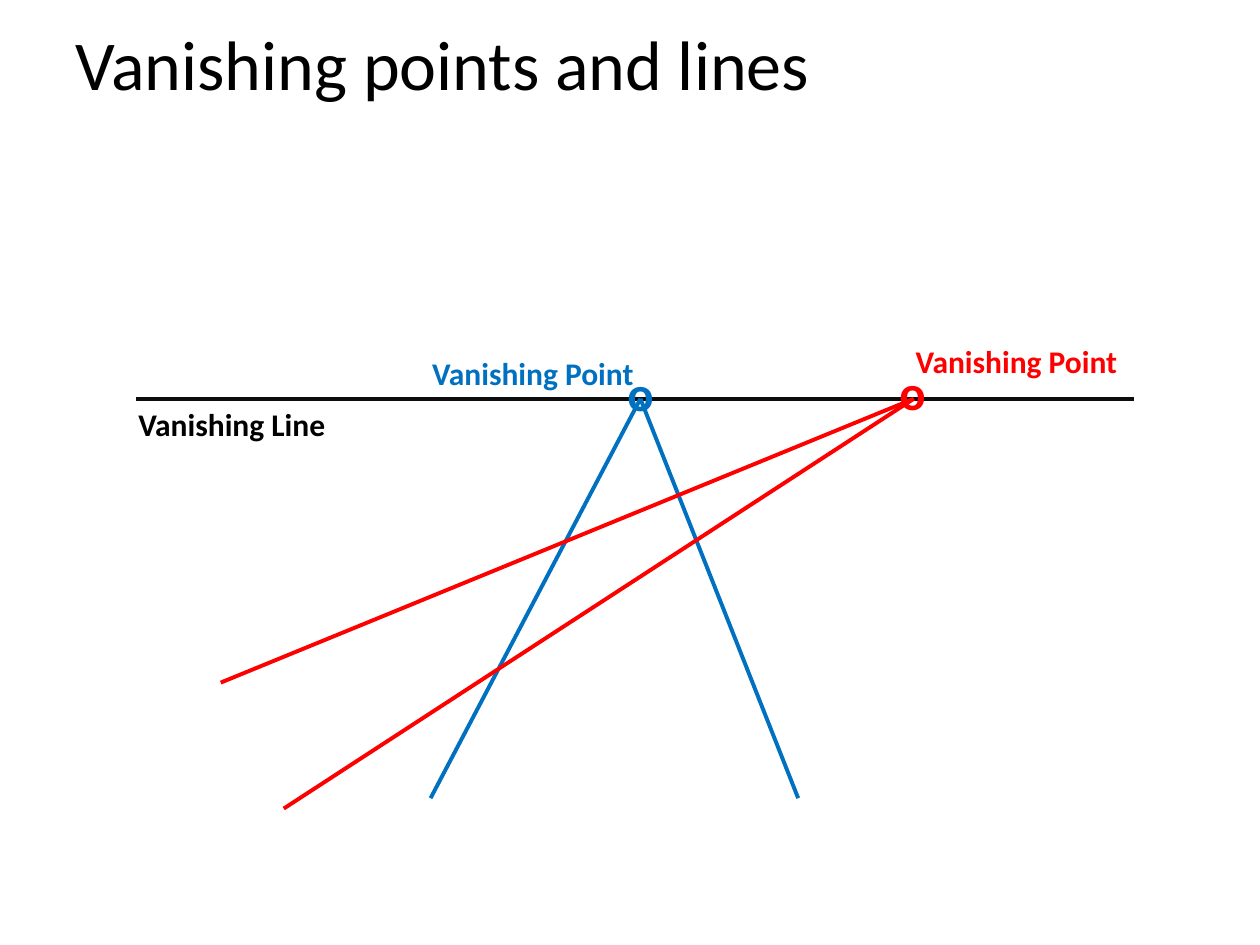
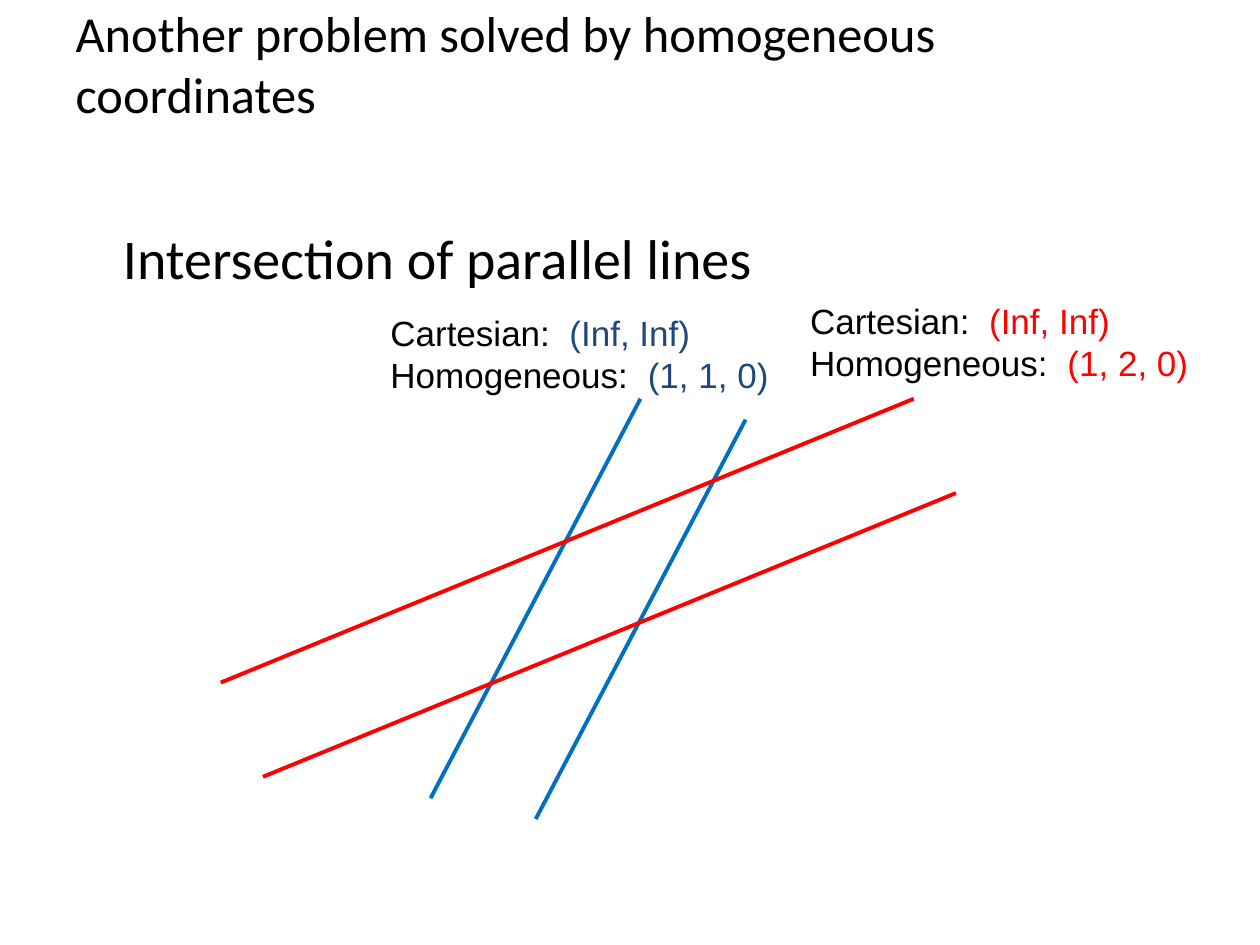
from pptx import Presentation
from pptx.dml.color import RGBColor
from pptx.enum.shapes import MSO_CONNECTOR
from pptx.enum.text import MSO_ANCHOR, MSO_AUTO_SIZE, PP_ALIGN
from pptx.oxml.ns import qn
from pptx.util import Cm, Pt
from lxml.etree import SubElement

BLACK = RGBColor(0x00, 0x00, 0x00)
HORIZON = RGBColor(0x0D, 0x0D, 0x0D)
BLUE = RGBColor(0x00, 0x70, 0xC0)
NAVY = RGBColor(0x1F, 0x49, 0x7D)
RED = RGBColor(0xFF, 0x00, 0x00)

# Points in centimetres that both drawings share
BLUE_POINT, BLUE_START = (12.91, 8.04), (8.68, 16.09)
RED_POINT, RED_START = (18.42, 8.04), (4.45, 13.76)


class Deck:
    """Holds the style and the slide being built."""

    heading_font = "Calibri"
    body_font = "Arial"
    line_width = Pt(2.25)

    def __init__(self):
        self.presentation = Presentation()
        self.presentation.slide_width = Cm(25.4)
        self.presentation.slide_height = Cm(19.05)
        self.slide = None

    def add_run(self, paragraph, text, size, color, font=heading_font, bold=False):
        run = paragraph.add_run()
        run.text = text
        run.font.name = font
        run.font.size = Pt(size)
        run.font.bold = bold
        run.font.color.rgb = color

    def add_slide(self, title, size):
        layout = self.presentation.slide_layouts[5]
        self.slide = self.presentation.slides.add_slide(layout)
        shape = self.slide.shapes.title
        shape.left, shape.top = Cm(1.27), Cm(0)
        shape.width, shape.height = Cm(22.86), Cm(2.54)
        frame = shape.text_frame
        frame.auto_size = MSO_AUTO_SIZE.NONE
        frame.vertical_anchor = MSO_ANCHOR.MIDDLE
        paragraph = frame.paragraphs[0]
        paragraph.alignment = PP_ALIGN.LEFT
        self.add_run(paragraph, title, size, BLACK)

    def add_line(self, start, end, color):
        connector = self.slide.shapes.add_connector(
            MSO_CONNECTOR.STRAIGHT, *[Cm(value) for value in (*start, *end)])
        connector.line.color.rgb = color
        connector.line.width = self.line_width
        SubElement(connector._element.spPr, qn("a:effectLst"))

    def add_parallels(self, start, end, shift, color):
        self.add_line(start, end, color)
        self.add_line(*[(x + shift[0], y + shift[1]) for x, y in (start, end)], color)

    def add_box(self, left, top, width, height, wrap=True):
        box = self.slide.shapes.add_textbox(Cm(left), Cm(top), Cm(width), Cm(height))
        box.text_frame.word_wrap = wrap
        return box.text_frame

    def add_label(self, text, left, top, width, height, size, color, bold=True, wrap=False):
        frame = self.add_box(left, top, width, height, wrap)
        self.add_run(frame.paragraphs[0], text, size, color, bold=bold)

    def add_vanishing_point(self, marker_at, label_at, color):
        self.add_label("o", *marker_at, 1.04, 1.45, 28, color)
        self.add_label("Vanishing Point", *label_at, 4.6, 1.02, 18, color)

    def add_coordinates(self, left, top, homogeneous, color):
        frame = self.add_box(left, top, 9.73, 1.96)
        rows = [("Cartesian:", "(Inf, Inf)", 3.61), ("Homogeneous:", homogeneous, 5.19)]
        for index, (name, value, stop) in enumerate(rows):
            paragraph = frame.add_paragraph() if index else frame.paragraphs[0]
            tabs = SubElement(paragraph._p.get_or_add_pPr(), qn("a:tabLst"))
            SubElement(tabs, qn("a:tab"), pos=str(Cm(stop)), algn="l")
            self.add_run(paragraph, name + "\t", 20, BLACK, self.body_font)
            self.add_run(paragraph, value, 20, color, self.body_font)


def main():
    deck = Deck()

    # Vanishing points on the vanishing line
    deck.add_slide("Vanishing points and lines", 40)
    deck.add_line((2.75, 8.04), (22.86, 8.04), HORIZON)
    for start in (BLUE_START, (16.09, 16.09)):
        deck.add_line(start, BLUE_POINT, BLUE)
    deck.add_vanishing_point((12.4, 7.19), (8.46, 7.01), BLUE)
    for start in (RED_START, (5.72, 16.3)):
        deck.add_line(start, RED_POINT, RED)
    deck.add_vanishing_point((17.88, 7.16), (18.21, 6.78), RED)
    deck.add_label("Vanishing Line", 2.54, 8.04, 5.51, 1.02, 18, BLACK, wrap=True)

    # Parallel lines and their intersections
    deck.add_slide("Another problem solved by homogeneous coordinates", 28.8)
    deck.add_parallels(BLUE_START, BLUE_POINT, (2.12, 0.42), BLUE)
    deck.add_parallels(RED_START, RED_POINT, (0.85, 1.9), RED)
    deck.add_coordinates(7.62, 6.15, "(1, 1, 0)", NAVY)
    deck.add_label("Intersection of parallel lines", 2.23, 4.39, 19.8, 1.7, 32, BLACK,
                   bold=False, wrap=True)
    deck.add_coordinates(16.08, 5.92, "(1, 2, 0)", RED)

    deck.presentation.save("out.pptx")


if __name__ == "__main__":
    main()
